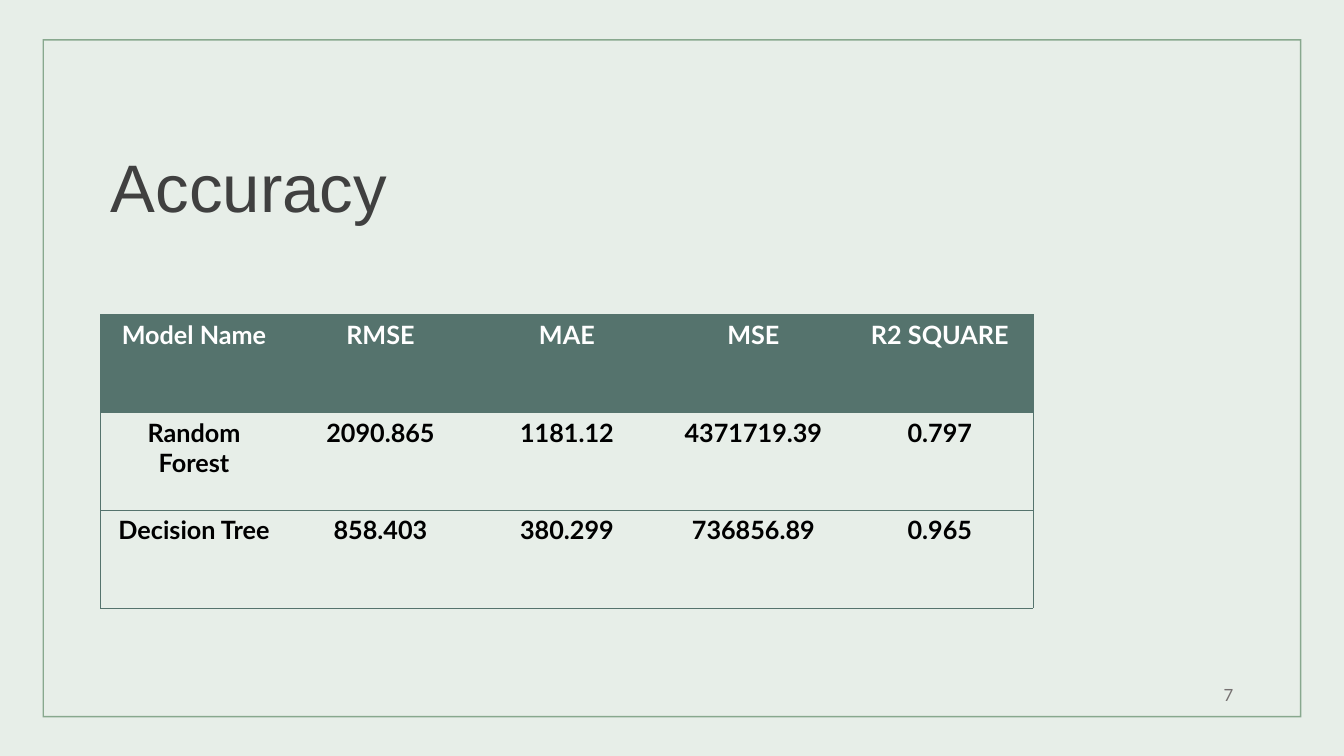
from lxml import etree
from pptx import Presentation
from pptx.dml.color import RGBColor
from pptx.enum.shapes import MSO_SHAPE
from pptx.enum.text import MSO_ANCHOR, MSO_AUTO_SIZE, PP_ALIGN
from pptx.oxml.ns import qn
from pptx.util import Pt

FRAME = MSO_SHAPE.FRAME
LEFT, CENTER, RIGHT = PP_ALIGN.LEFT, PP_ALIGN.CENTER, PP_ALIGN.RIGHT
TOP, MIDDLE, BOTTOM = MSO_ANCHOR.TOP, MSO_ANCHOR.MIDDLE, MSO_ANCHOR.BOTTOM
NO_AUTOFIT = MSO_AUTO_SIZE.NONE

BACKGROUND, SAGE, TEAL = "E7EEE8", "88A88E", "55736D"
TITLE_GREY, NUMBER_GREY = "404040", "767171"
WHITE, BLACK = "FFFFFF", "000000"

COL_WIDTH, ROW_HEIGHT = 133.2, 69.9
BORDER_WIDTH = 0.5
ACCURACY = [
    ["Model Name", "RMSE", "MAE", "MSE", "R2 SQUARE"],
    ["Random Forest", "2090.865", "1181.12", "4371719.39", "0.797"],
    ["Decision Tree", "858.403", "380.299", "736856.89", "0.965"],
]


def rgb(color):
    return RGBColor.from_string(color)


def write(tf, text, size=18, font="Lato", color=BLACK, bold=False,
          align=LEFT, spacing=1.0):
    p = tf.paragraphs[0]
    p.alignment = align
    p.line_spacing = spacing
    r = p.add_run()
    r.text = text
    r.font.size = Pt(size)
    r.font.name = font
    r.font.bold = bold
    r.font.color.rgb = rgb(color)


def add_frame(slide, left, top, width, height):
    sp = slide.shapes.add_shape(FRAME, Pt(left), Pt(top), Pt(width), Pt(height))
    sp.adjustments[0] = 0.002
    sp.shadow.inherit = False
    sp.fill.solid()
    sp.fill.fore_color.rgb = rgb(SAGE)
    sp.line.fill.background()


def set_title(slide, text, left, top, width, height):
    sp = slide.shapes.title
    sp.left, sp.top, sp.width, sp.height = Pt(left), Pt(top), Pt(width), Pt(height)
    tf = sp.text_frame
    tf.word_wrap = True
    tf.auto_size = NO_AUTOFIT
    tf.vertical_anchor = BOTTOM
    write(tf, text, size=48, font="Arial", color=TITLE_GREY, spacing=0.9)


def set_borders(cell, sides):
    """Draw the given sides (L, R, T, B) and clear the others."""
    tc_pr = cell._tc.get_or_add_tcPr()
    for i, side in enumerate("LRTB"):
        ln = etree.Element(qn(f"a:ln{side}"), w=str(Pt(BORDER_WIDTH)))
        if side in sides:
            fill = etree.SubElement(ln, qn("a:solidFill"))
            etree.SubElement(fill, qn("a:srgbClr"), val=TEAL)
        else:
            etree.SubElement(ln, qn("a:noFill"))
        tc_pr.insert(i, ln)


def add_table(slide, rows, left, top):
    n_rows, n_cols = len(rows), len(rows[0])
    table = slide.shapes.add_table(
        n_rows, n_cols, Pt(left), Pt(top),
        Pt(n_cols * COL_WIDTH), Pt(n_rows * ROW_HEIGHT)).table
    for col in table.columns:
        col.width = Pt(COL_WIDTH)
    for i, values in enumerate(rows):
        table.rows[i].height = Pt(ROW_HEIGHT)
        for j, value in enumerate(values):
            cell = table.cell(i, j)
            cell.vertical_anchor = TOP
            if i == 0:
                cell.fill.solid()
                cell.fill.fore_color.rgb = rgb(TEAL)
            else:
                cell.fill.background()
            write(cell.text_frame, value, bold=True, align=CENTER,
                  color=WHITE if i == 0 else BLACK)
            # Rules between rows, outer edges only at the sides
            sides = "TB"
            if j == 0:
                sides += "L"
            if j == n_cols - 1:
                sides += "R"
            set_borders(cell, sides)


def add_page_number(slide, number, left, top, width, height):
    sp = slide.shapes.add_textbox(Pt(left), Pt(top), Pt(width), Pt(height))
    tf = sp.text_frame
    tf.word_wrap = True
    tf.vertical_anchor = MIDDLE
    write(tf, number, size=12, color=NUMBER_GREY, align=RIGHT)


def main():
    prs = Presentation()
    prs.slide_width, prs.slide_height = Pt(960), Pt(540)
    slide = prs.slides.add_slide(prs.slide_layouts[5])

    # Background and frame
    slide.background.fill.solid()
    slide.background.fill.fore_color.rgb = rgb(BACKGROUND)
    add_frame(slide, 30.4, 28, 899.2, 484.4)

    # Title, results and page number
    set_title(slide, "Accuracy", 72, 71.3, 378, 94.3)
    add_table(slide, ACCURACY, 72, 224.6)
    add_page_number(slide, "7", 672, 481.7, 216, 28.8)

    prs.save("out.pptx")


if __name__ == "__main__":
    main()
